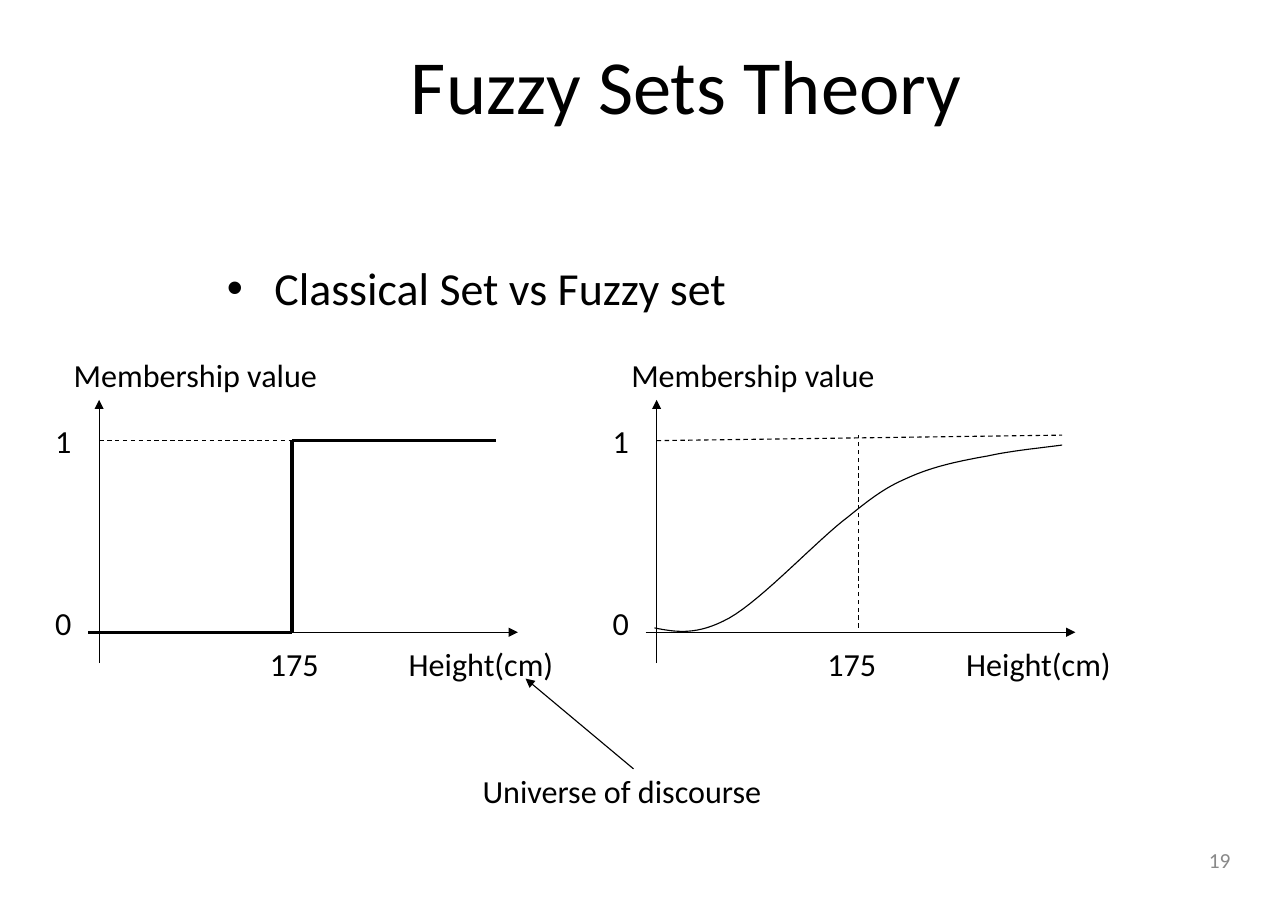
from dataclasses import dataclass

from lxml import etree
from pptx import Presentation
from pptx.dml.color import RGBColor
from pptx.enum.dml import MSO_LINE
from pptx.enum.shapes import MSO_CONNECTOR
from pptx.enum.text import MSO_ANCHOR, MSO_AUTO_SIZE, PP_ALIGN
from pptx.oxml.ns import qn
from pptx.util import Pt

PX = 9144  # EMU per px, 100 px to the inch
STRAIGHT = MSO_CONNECTOR.STRAIGHT
DASH = MSO_LINE.DASH
TOP, MIDDLE = MSO_ANCHOR.TOP, MSO_ANCHOR.MIDDLE
LEFT, CENTER, RIGHT = PP_ALIGN.LEFT, PP_ALIGN.CENTER, PP_ALIGN.RIGHT
FIXED, FIT = MSO_AUTO_SIZE.NONE, MSO_AUTO_SIZE.SHAPE_TO_FIT_TEXT


@dataclass(frozen=True)
class Theme:
    font: str = "Calibri"
    ink: RGBColor = RGBColor(0x00, 0x00, 0x00)
    muted: RGBColor = RGBColor(0x89, 0x89, 0x89)
    title: int = 50
    body: int = 30
    label: int = 21
    number: int = 14
    thin: float = 0.75
    thick: float = 2.25


def bezier(p0, p1, p2, p3, steps=16):
    """Return points along a cubic curve, leaving out its start."""
    points = []
    for i in range(1, steps + 1):
        t = i / steps
        u = 1 - t
        points.append(tuple(
            u**3 * a + 3 * u * u * t * b + 3 * u * t * t * c + t**3 * d
            for a, b, c, d in zip(p0, p1, p2, p3)))
    return points


class Canvas:
    def __init__(self, s, theme):
        self.s = s
        self.theme = theme

    def add_text(self, sp, text, size, color, align=LEFT, anchor=TOP, fit=FIXED):
        tf = sp.text_frame
        tf.word_wrap = fit == FIXED
        tf.auto_size = fit
        tf.vertical_anchor = anchor
        tf.margin_left = tf.margin_right = 11 * PX
        tf.margin_top = tf.margin_bottom = 6 * PX
        p = tf.paragraphs[0]
        p.alignment = align
        r = p.add_run()
        r.text = text
        r.font.name = self.theme.font
        r.font.size = Pt(size)
        r.font.color.rgb = color
        return p

    def place(self, sp, x, y, w, h):
        sp.left, sp.top, sp.width, sp.height = (v * PX for v in (x, y, w, h))

    def title(self, text, *box):
        sp = self.s.shapes.title
        self.place(sp, *box)
        self.add_text(sp, text, self.theme.title, self.theme.ink, CENTER, MIDDLE)

    def bullet(self, text, *box):
        sp = self.s.placeholders[1]
        self.place(sp, *box)
        p = self.add_text(sp, text, self.theme.body, self.theme.ink)
        pPr = p._p.get_or_add_pPr()
        pPr.set("marL", str(43 * PX))
        pPr.set("indent", str(-43 * PX))
        etree.SubElement(pPr, qn("a:buChar")).set("char", "•")

    def label(self, text, x, y, w, h=47):
        sp = self.s.shapes.add_textbox(x * PX, y * PX, w * PX, h * PX)
        self.add_text(sp, text, self.theme.label, self.theme.ink, fit=FIT)

    def page_number(self, text, x, y, w, h):
        sp = self.s.shapes.add_textbox(x * PX, y * PX, w * PX, h * PX)
        self.add_text(sp, text, self.theme.number, self.theme.muted, RIGHT, MIDDLE)

    def line(self, x1, y1, x2, y2, width=None, dash=None, arrow=False):
        sp = self.s.shapes.add_connector(
            STRAIGHT, x1 * PX, y1 * PX, x2 * PX, y2 * PX)
        sp.line.color.rgb = self.theme.ink
        sp.line.width = Pt(width or self.theme.thin)
        if dash:
            sp.line.dash_style = dash
        spPr = sp.element.spPr
        if arrow:
            ln = spPr.find(qn("a:ln"))
            etree.SubElement(ln, qn("a:tailEnd")).set("type", "triangle")
        etree.SubElement(spPr, qn("a:effectLst"))

    def curve(self, knots):
        """Draw joined cubic curves; knots are end, control, control, end..."""
        points = []
        for i in range(0, len(knots) - 1, 3):
            points += bezier(*knots[i:i + 4])
        x, y = knots[0]
        builder = self.s.shapes.build_freeform(x * PX, y * PX)
        builder.add_line_segments(
            [(px * PX, py * PX) for px, py in points], close=False)
        sp = builder.convert_to_shape()
        sp.shadow.inherit = False
        sp.fill.background()
        sp.line.color.rgb = self.theme.ink
        sp.line.width = Pt(self.theme.thin)

    def axes(self, x):
        """Draw labelled axes whose vertical axis stands at x."""
        self.line(x - 10, 574, x + 380, 574, arrow=True)
        self.line(x, 602, x, 363, arrow=True)
        for text, dx, y, w in (("Membership value", -34, 317, 246),
                               ("1", -51, 377, 38),
                               ("0", -51, 542, 38),
                               ("175", 144, 579, 68),
                               ("Height(cm)", 270, 579, 156)):
            self.label(text, x + dx, y, w)


def main():
    prs = Presentation()
    prs.slide_width, prs.slide_height = 1169 * PX, 827 * PX
    theme = Theme()
    c = Canvas(prs.slides.add_slide(prs.slide_layouts[1]), theme)

    c.title("Fuzzy Sets Theory", 175, 0, 896, 152)
    c.bullet("Classical Set vs Fuzzy set", 195, 230, 838, 83)

    # Classical set: a step at 175
    c.axes(90)
    step = [(80, 574), (265, 574), (265, 400), (450, 400)]
    for start, end in zip(step, step[1:]):
        c.line(*start, *end, width=theme.thick)
    c.line(90, 400, 265, 400, dash=DASH)

    # Fuzzy set: a smooth rise
    c.axes(596)
    c.line(596, 400, 964, 395, dash=DASH)
    c.line(779, 570, 779, 395, dash=DASH)
    c.curve([(594, 570), (614, 574), (633, 577), (662, 561),
             (692, 544), (742, 490), (770, 469),
             (797, 447), (807, 441), (828, 432),
             (849, 423), (873, 418), (896, 414),
             (919, 409), (942, 407), (964, 404)])

    c.label("Universe of discourse", 427, 694, 279)
    c.line(575, 698, 477, 616, arrow=True)
    c.page_number("19", 855, 752, 273, 57)
    prs.save("out.pptx")


if __name__ == "__main__":
    main()
